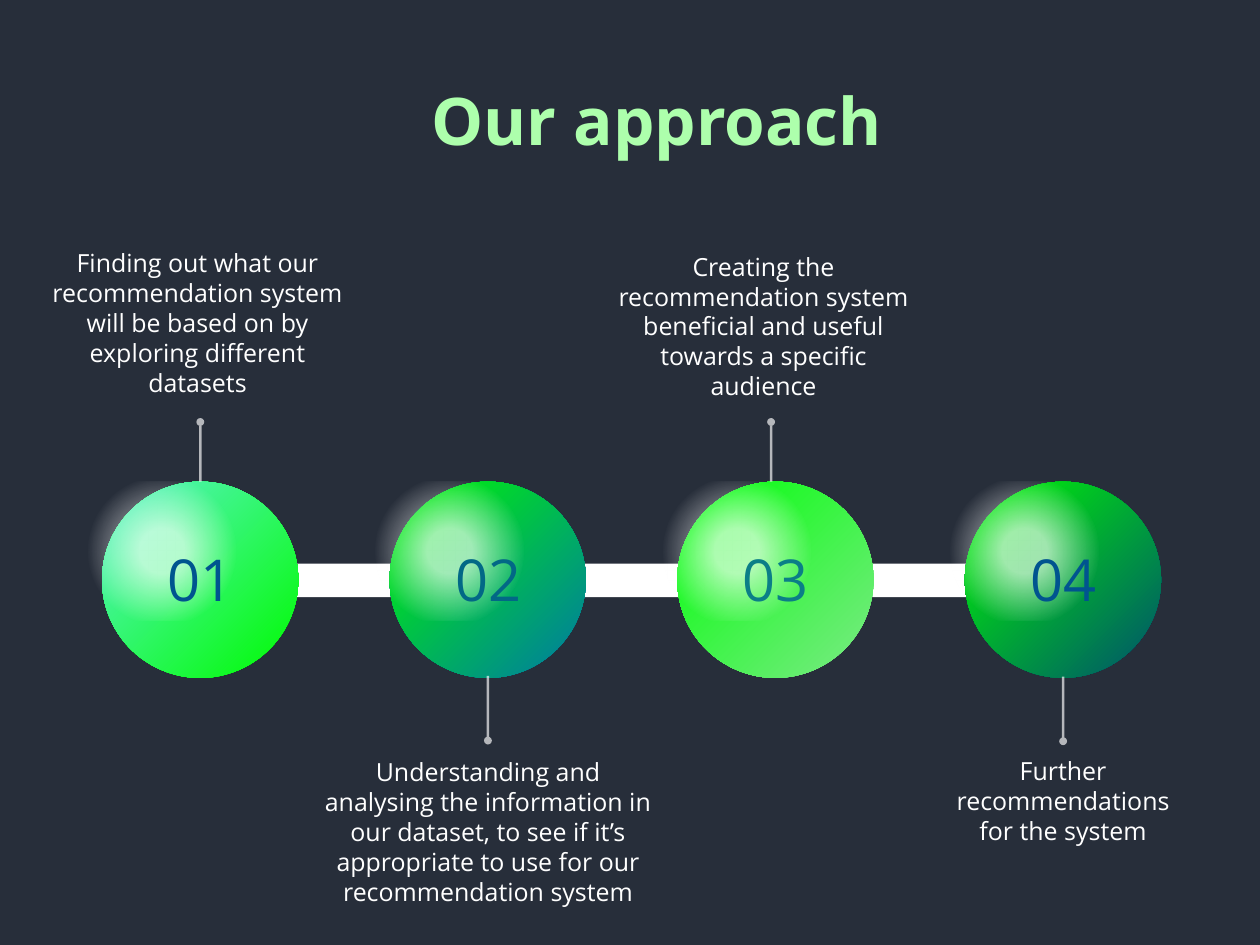
"""Build a slide that shows a four-step approach as numbered spheres on a bar."""
import lxml.etree
import pptx
import pptx.dml.color
import pptx.enum.shapes
import pptx.enum.text
import pptx.oxml
import pptx.oxml.ns
import pptx.util

Pt = pptx.util.Pt
qn = pptx.oxml.ns.qn
Shape = pptx.enum.shapes.MSO_SHAPE
Anchor = pptx.enum.text.MSO_ANCHOR
CENTER = pptx.enum.text.PP_ALIGN.CENTER
GROW = pptx.enum.text.MSO_AUTO_SIZE.SHAPE_TO_FIT_TEXT
FONT = "Open Sans"
BACKGROUND = "272E3A"
WHITE = "FFFFFF"


def color(value):
    """Turn a hex string into a colour."""
    return pptx.dml.color.RGBColor.from_string(value)


def fill_gradient(fill, properties, stops, direction):
    """Fill with a gradient of (position, colour, opacity) stops in percent."""
    fill.background()
    stop_xml = "".join(
        f'<a:gs pos="{position * 1000}"><a:srgbClr val="{value}">'
        f'<a:alpha val="{opacity * 1000}"/></a:srgbClr></a:gs>'
        for position, value, opacity in stops
    )
    gradient = pptx.oxml.parse_xml(
        f'<a:gradFill {pptx.oxml.ns.nsdecls("a")} rotWithShape="1">'
        f"<a:gsLst>{stop_xml}</a:gsLst>{direction}</a:gradFill>"
    )
    properties.replace(properties.find(qn("a:noFill")), gradient)


FROM_CORNER = '<a:path path="circle"><a:fillToRect r="100000" b="100000"/></a:path>'
FROM_CENTER = (
    '<a:path path="circle">'
    '<a:fillToRect l="50000" t="50000" r="50000" b="50000"/></a:path>'
)
UPWARD = '<a:lin ang="16200000" scaled="0"/>'

presentation = pptx.Presentation()
presentation.slide_width = Pt(1920)
presentation.slide_height = Pt(1440)
slide = presentation.slides.add_slide(presentation.slide_layouts[5])
slide.background.fill.solid()
slide.background.fill.fore_color.rgb = color(BACKGROUND)

bar = slide.shapes.add_shape(Shape.RECTANGLE, Pt(160), Pt(859), Pt(1605), Pt(51))
bar.shadow.inherit = False
bar.fill.solid()
bar.fill.fore_color.rgb = color(WHITE)
bar.line.fill.background()

SPHERE_LEFT, SPHERE_TOP, SPHERE_SIZE, STEP = 155.5, 734, 299, 438.25
spheres = [
    ("01", "00548F", "5CF3CB", "00FA00", 100),
    ("02", "026886", "00FA00", "007AA3", 99),
    ("03", "0B7E87", "00FF09", "7CE986", 100),
    ("04", "00548F", "00FB00", "00516D", 100),
]
for index, (label, label_color, start, end, end_position) in enumerate(spheres):
    left = SPHERE_LEFT + index * STEP
    group = slide.shapes.add_group_shape()

    sphere = group.shapes.add_shape(
        Shape.OVAL, Pt(left), Pt(SPHERE_TOP), Pt(SPHERE_SIZE), Pt(SPHERE_SIZE)
    )
    sphere_stops = [(0, start, 100), (end_position, end, 100)]
    fill_gradient(sphere.fill, sphere.element.spPr, sphere_stops, FROM_CORNER)

    highlight = group.shapes.add_shape(
        Shape.ROUNDED_RECTANGLE, Pt(left - 70), Pt(SPHERE_TOP), Pt(322), Pt(212)
    )
    highlight.adjustments[0] = 0.5
    highlight_stops = [(18, WHITE, 62), (59, WHITE, 0)]
    fill_gradient(highlight.fill, highlight.element.spPr, highlight_stops, FROM_CENTER)

    for part in (sphere, highlight):
        part.shadow.inherit = False
        part.line.fill.background()

    number = group.shapes.add_textbox(Pt(left + 90.5), Pt(824.5), Pt(119), Pt(114))
    number.text_frame.text = label
    number.text_frame.word_wrap = False
    number.text_frame.auto_size = GROW
    number.text_frame.vertical_anchor = Anchor.MIDDLE
    number.text_frame.paragraphs[0].alignment = CENTER
    number_font = number.text_frame.paragraphs[0].runs[0].font
    number_font.name = FONT
    number_font.size = Pt(88)
    number_font.color.rgb = color(label_color)

descriptions = [
    ("Finding out what our recommendation system will be based on by "
     "exploring different datasets", 64, 373.5, 474, 259, Anchor.TOP),
    ("Understanding and analysing the information in our dataset, to see if "
     "it’s appropriate to use for our recommendation system",
     486, 1148.5, 515.5, 237.5, Anchor.MIDDLE),
    ("Creating the recommendation system beneficial and useful towards a "
     "specific audience", 926.5, 378, 474, 237.5, Anchor.MIDDLE),
    ("Further recommendations for the system",
     1431.5, 1148.5, 377, 145.5, Anchor.TOP),
]
for wording, left, top, width, height, anchor in descriptions:
    description = slide.shapes.add_textbox(Pt(left), Pt(top), Pt(width), Pt(height))
    description.text_frame.text = wording
    description.text_frame.word_wrap = True
    description.text_frame.auto_size = GROW
    description.text_frame.vertical_anchor = anchor
    description.text_frame.paragraphs[0].alignment = CENTER
    description_font = description.text_frame.paragraphs[0].runs[0].font
    description_font.name = FONT
    description_font.size = Pt(38)
    description_font.color.rgb = color(WHITE)

pointers = [
    (305.25, 643, 734),
    (743.5, 1128.5, 1030),
    (1175, 643, 734),
    (1620, 1129.5, 1031),
]
for x, dot_y, sphere_y in pointers:
    pointer = slide.shapes.add_connector(
        pptx.enum.shapes.MSO_CONNECTOR.STRAIGHT, Pt(x), Pt(dot_y), Pt(x), Pt(sphere_y)
    )
    pointer.line.width = Pt(4)
    pointer.line.color.rgb = color(WHITE)
    line_properties = pointer.element.spPr.find(qn("a:ln"))
    line_color = line_properties.find(".//" + qn("a:srgbClr"))
    lxml.etree.SubElement(line_color, qn("a:alpha"), val="65000")
    lxml.etree.SubElement(line_properties, qn("a:headEnd"), type="oval")
    lxml.etree.SubElement(pointer.element.spPr, qn("a:effectLst"))

title = slide.shapes.title
title.left, title.top, title.width, title.height = Pt(393), Pt(118), Pt(1215.5), Pt(128)
title.fill.solid()
title.fill.fore_color.rgb = color(BACKGROUND)
title.text_frame.text = "Our approach"
title.text_frame.word_wrap = True
title.text_frame.auto_size = GROW
title.text_frame.vertical_anchor = Anchor.TOP
title.text_frame.paragraphs[0].alignment = CENTER
title_font = title.text_frame.paragraphs[0].runs[0].font
title_font.name = FONT
title_font.size = Pt(100)
title_font.bold = True
title_stops = [(0, "20FF1D", 100), (47, "ADFFAC", 100), (99, "CCFFCB", 100)]
title_properties = title.element.find(".//" + qn("a:rPr"))
fill_gradient(title_font.fill, title_properties, title_stops, UPWARD)

presentation.save("out.pptx")
